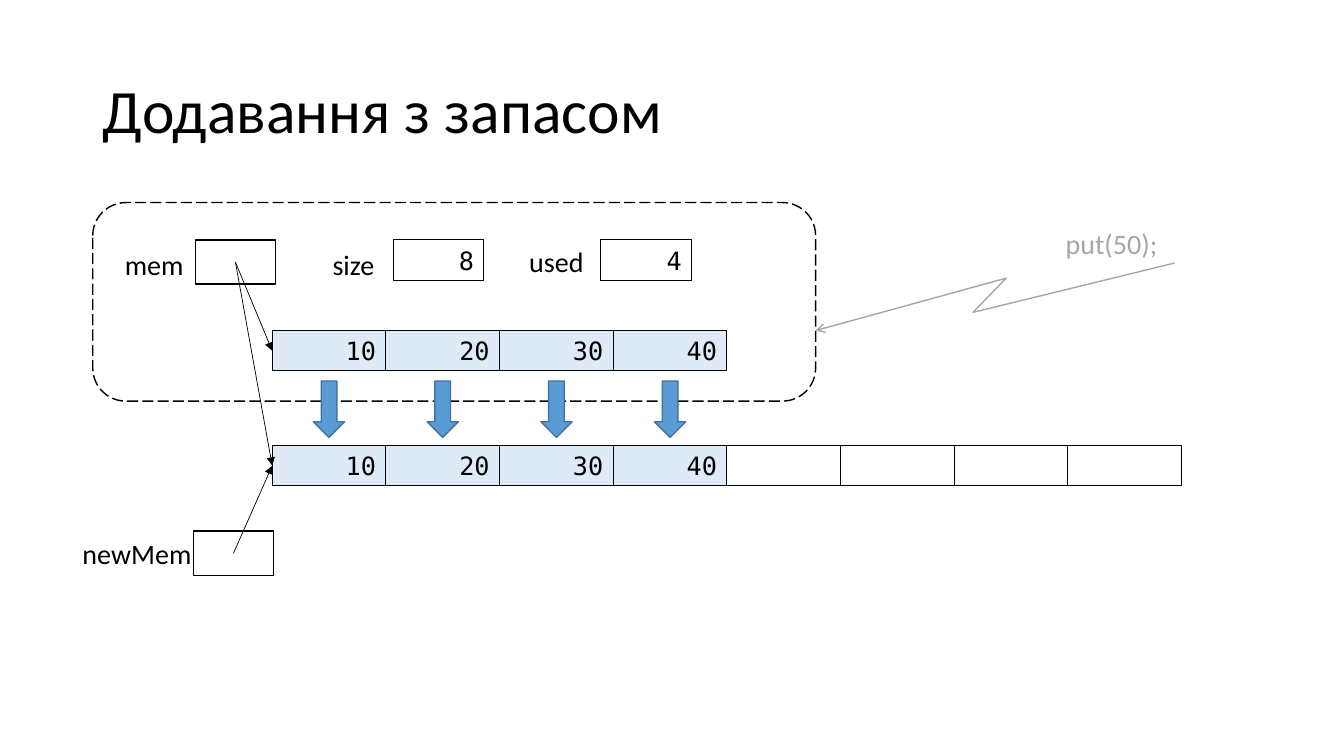
from dataclasses import dataclass

from lxml import etree
from pptx import Presentation, util as u
from pptx.dml.color import RGBColor
from pptx.enum import dml, shapes, text
from pptx.oxml.ns import qn


@dataclass(frozen=True)
class Theme:
    """Colours, fonts, type sizes and line weights of the slide."""
    ink: str = "000000"
    paper: str = "FFFFFF"
    used_cell: str = "DEEBF7"
    arrow: str = "5B9BD5"
    arrow_edge: str = "43739E"
    muted: str = "A6A6A6"
    body: str = "Calibri"
    mono: str = "DejaVu Sans Mono"
    title_size: int = 44
    label_size: int = 20
    value_size: int = 18
    thin: float = 0.5
    cell: float = 0.75
    bold: float = 1


@dataclass(frozen=True)
class Box:
    """A rectangle in inches."""
    left: float
    top: float
    width: float
    height: float

    def inner(self, dx, dy, width, height):
        """Return a box offset from this one's top left corner."""
        return Box(self.left + dx, self.top + dy, width, height)

    def emu(self):
        """Return the four lengths for python-pptx."""
        return [u.Inches(v) for v in (self.left, self.top, self.width, self.height)]

    def center(self):
        """Return the middle point."""
        return self.left + self.width / 2, self.top + self.height / 2

    def left_middle(self):
        """Return the middle of the left edge."""
        return self.left, self.top + self.height / 2


THEME = Theme()
CELL_HEIGHT = 0.4
CELL_WIDTH = 1.1275
SLOT_SIZE = (0.79, 0.44)
SHAPE = shapes.MSO_SHAPE


def write(frame, words, size, font, color, align=text.PP_ALIGN.LEFT):
    """Put one formatted paragraph into a text frame."""
    frame.text = words
    paragraph = frame.paragraphs[0]
    paragraph.alignment = align
    run_font = paragraph.runs[0].font
    run_font.size, run_font.name = u.Pt(size), font
    run_font.color.rgb = RGBColor.from_string(color)
    return paragraph


def set_line(line, color, weight):
    """Set the colour and weight of an outline."""
    line.color.rgb = RGBColor.from_string(color)
    line.width = u.Pt(weight)


def add_arrowhead(line, kind):
    """Put an arrowhead at the end of a line."""
    etree.SubElement(line._get_or_add_ln(), qn("a:tailEnd"), type=kind)


def add_figure(slide, box, preset, fill=None, edge=THEME.ink, weight=THEME.cell):
    """Add a flat preset shape, unfilled unless a fill is given."""
    figure = slide.shapes.add_shape(preset, *box.emu())
    figure.shadow.inherit = False
    if fill:
        figure.fill.solid()
        figure.fill.fore_color.rgb = RGBColor.from_string(fill)
    else:
        figure.fill.background()
    set_line(figure.line, edge, weight)
    return figure


def add_cell(slide, box, value="", fill=None):
    """Add a memory cell with a right-aligned value."""
    cell = add_figure(slide, box, SHAPE.RECTANGLE, fill)
    if value:
        write(cell.text_frame, value, THEME.value_size, THEME.mono, THEME.ink,
              text.PP_ALIGN.RIGHT)


def add_label(slide, box, words, color=THEME.ink, wrap=True):
    """Add a text label."""
    frame = slide.shapes.add_textbox(*box.emu()).text_frame
    frame.word_wrap = wrap
    write(frame, words, THEME.label_size, THEME.body, color)


def add_pointer(slide, start, end):
    """Draw a thin arrow from a pointer variable to an array."""
    pointer = slide.shapes.add_connector(
        shapes.MSO_CONNECTOR.STRAIGHT, *[u.Inches(v) for v in (*start, *end)])
    set_line(pointer.line, THEME.ink, THEME.thin)
    add_arrowhead(pointer.line, "triangle")
    etree.SubElement(pointer._element.spPr, qn("a:effectLst"))


def add_title(slide, box, words):
    """Move and format the title placeholder."""
    title = slide.shapes.title
    title.left, title.top, title.width, title.height = box.emu()
    title.text_frame.vertical_anchor = text.MSO_ANCHOR.MIDDLE
    heading = write(title.text_frame, words, THEME.title_size, THEME.body, THEME.ink)
    heading.line_spacing = 0.9


def add_array(slide, box, values, capacity):
    """Draw a row of equal cells, the filled ones first."""
    pitch = box.width / capacity
    order = [*range(len(values), capacity), *range(len(values))]
    for column in order:
        stored = column < len(values)
        add_cell(slide, box.inner(column * pitch, 0, pitch, box.height),
                 values[column] if stored else "",
                 THEME.used_cell if stored else None)


def add_copy_arrows(slide, box, count):
    """Draw one block arrow under the middle of each copied cell."""
    pitch, width = box.width / count, 0.31
    for column in range(count):
        offset = column * pitch + (pitch - width) / 2
        add_figure(slide, box.inner(offset, 0, width, box.height), SHAPE.DOWN_ARROW,
                   THEME.arrow, THEME.arrow_edge, THEME.bold)


def add_object(slide, box):
    """Draw the dashed object with its fields; return the mem slot."""
    mem = box.inner(1.02, 0.37, *SLOT_SIZE)
    add_figure(slide, mem, SHAPE.RECTANGLE, THEME.paper, weight=THEME.bold)
    frame = add_figure(slide, box, SHAPE.ROUNDED_RECTANGLE, weight=THEME.bold)
    frame.line.dash_style = dml.MSO_LINE.LONG_DASH
    for name, dx, dy, width in (("mem", 0.22, 0.4, 0.8), ("size", 2.28, 0.4, 0.8),
                                ("used", 4.23, 0.37, 0.78)):
        add_label(slide, box.inner(dx, dy, width, 0.44), name)
    for value, dx in (("8", 2.98), ("4", 5.04)):
        add_cell(slide, box.inner(dx, 0.37, 0.9, CELL_HEIGHT), value)
    return mem


def add_new_memory(slide, box):
    """Draw the newMem variable; return its slot."""
    slot = box.inner(1.2, 0, *SLOT_SIZE)
    add_figure(slide, slot, SHAPE.RECTANGLE, THEME.paper, weight=THEME.bold)
    add_label(slide, box.inner(0, 0, 1.36, box.height), "newMem")
    return slot


def add_call(slide, box, words):
    """Draw the method call with its zigzag arrow."""
    bends = [(3.56, 0.41), (1.56, 0.9), (1.89, 0.56), (0, box.height)]
    points = [(u.Inches(box.left + x), u.Inches(box.top + y)) for x, y in bends]
    builder = slide.shapes.build_freeform(*points[0])
    builder.add_line_segments(points[1:], close=False)
    bolt = builder.convert_to_shape()
    bolt.shadow.inherit = False
    bolt.fill.background()
    set_line(bolt.line, THEME.muted, THEME.bold)
    add_arrowhead(bolt.line, "arrow")
    add_label(slide, box.inner(2.38, 0, 1.12, 0.44), words, THEME.muted, wrap=False)


def build_slide(deck):
    """Compose the slide about adding with spare capacity."""
    slide = deck.slides.add_slide(deck.slide_layouts[5])
    values = ["10", "20", "30", "40"]
    count, capacity = len(values), 8
    old_array = Box(2.7, 3.28, count * CELL_WIDTH, CELL_HEIGHT)
    new_array = Box(2.7, 4.42, capacity * CELL_WIDTH, CELL_HEIGHT)

    add_title(slide, Box(0.92, 0.4, 11.5, 1.45), "Додавання з запасом")
    mem = add_object(slide, Box(0.92, 2.01, 7.17, 1.97))
    add_call(slide, Box(8.09, 2.2, 3.56, 1.08), "put(50);")
    new_mem = add_new_memory(slide, Box(0.72, 5.27, 1.99, 0.44))
    add_array(slide, old_array, values, count)
    add_array(slide, new_array, values, capacity)
    add_copy_arrows(slide, old_array.inner(0, 0.5, old_array.width, 0.56), count)
    for slot, array in ((mem, old_array), (mem, new_array), (new_mem, new_array)):
        add_pointer(slide, slot.center(), array.left_middle())


presentation = Presentation()
presentation.slide_width, presentation.slide_height = u.Inches(13.33), u.Inches(7.5)
build_slide(presentation)
presentation.save("out.pptx")
